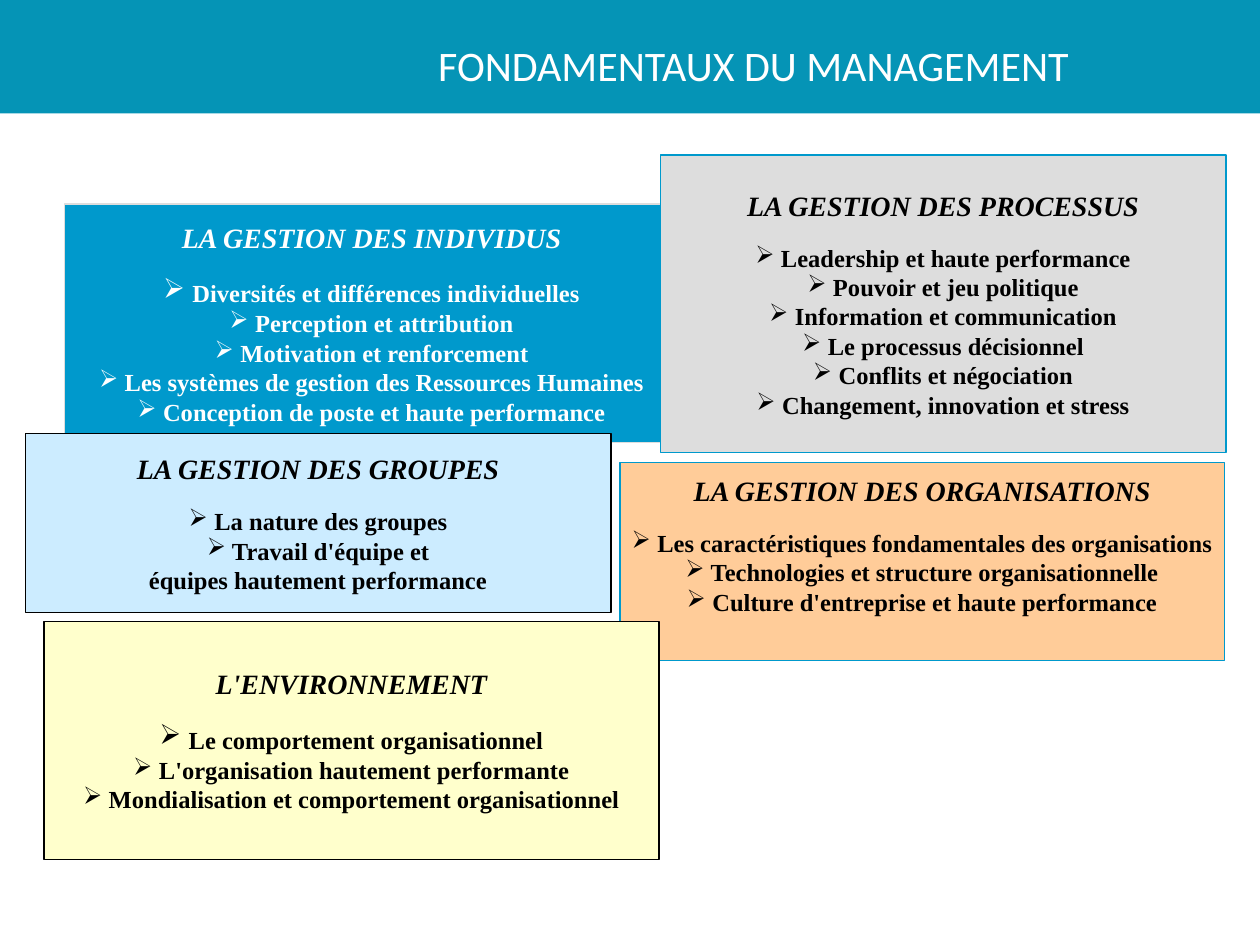
from lxml.etree import SubElement
from pptx import Presentation
from pptx.dml.color import RGBColor
from pptx.enum.shapes import MSO_SHAPE
from pptx.enum.text import MSO_ANCHOR, PP_ALIGN
from pptx.oxml.ns import qn
from pptx.util import Inches, Pt

COLORS = {
    "banner": "0594B6", "blue": "0099CC", "grey": "DDDDDD", "sky": "CCECFF",
    "orange": "FFCC99", "yellow": "FFFFCC", "black": "000000", "white": "FFFFFF",
}
TITLE = "FONDAMENTAUX DU MANAGEMENT"
BULLET = "➢"
HEADING_SIZE, ITEM_SIZE = 16, 14

# large_lead: the first bullet has the size of the heading
# plain_last: the last line continues the one above, without a bullet
PANELS = [
    {"heading": "LA GESTION DES INDIVIDUS", "at": (0.51, 1.62, 4.88, 1.89),
     "fill": "blue", "line": "grey", "text": "white", "large_lead": True,
     "items": ["Diversités et différences individuelles",
               "Perception et attribution",
               "Motivation et renforcement",
               "Les systèmes de gestion des Ressources Humaines",
               "Conception de poste et haute performance"]},
    {"heading": "LA GESTION DES PROCESSUS", "at": (5.24, 1.23, 4.49, 2.36),
     "fill": "grey", "line": "blue", "text": "black",
     "items": ["Leadership et haute performance",
               "Pouvoir et jeu politique",
               "Information et communication",
               "Le processus décisionnel",
               "Conflits et négociation",
               "Changement, innovation et stress"]},
    {"heading": "LA GESTION DES GROUPES", "at": (0.2, 3.44, 4.65, 1.42),
     "fill": "sky", "line": "black", "text": "black", "plain_last": True,
     "items": ["La nature des groupes",
               "Travail d'équipe et",
               "équipes hautement performance"]},
    {"heading": "LA GESTION DES ORGANISATIONS", "at": (4.92, 3.67, 4.8, 1.57),
     "fill": "orange", "line": "blue", "text": "black", "bottom": 0.31,
     "items": ["Les caractéristiques fondamentales des organisations",
               "Technologies et structure organisationnelle",
               "Culture d'entreprise et haute performance"]},
    {"heading": "L'ENVIRONNEMENT", "at": (0.35, 4.93, 4.88, 1.89),
     "fill": "yellow", "line": "black", "text": "black", "large_lead": True,
     "items": ["Le comportement organisationnel",
               "L'organisation hautement performante",
               "Mondialisation et comportement organisationnel"]},
]


def rgb(name):
    return RGBColor.from_string(COLORS[name])


def add_rectangle(page, at, fill, line=None):
    box = page.shapes.add_shape(MSO_SHAPE.RECTANGLE, *map(Inches, at))
    box.shadow.inherit = False
    box.fill.solid()
    box.fill.fore_color.rgb = rgb(fill)
    if line:
        box.line.color.rgb = rgb(line)
        box.line.width = Pt(0.75)
    else:
        box.line.fill.background()
    return box


def add_span(para, text, size, color, font="Times New Roman", bold=True, italic=False):
    span = para.add_run()
    span.text = text
    span.font.name = font
    span.font.size = Pt(size)
    span.font.bold = bold
    span.font.italic = italic
    span.font.color.rgb = rgb(color)


def add_bullet(para):
    properties = para._p.get_or_add_pPr()
    properties.set("marL", "0")
    properties.set("indent", "0")
    SubElement(properties, qn("a:buChar")).set("char", BULLET)


def add_panel(page, panel):
    box = add_rectangle(page, panel["at"], panel["fill"], panel["line"])
    frame = box.text_frame
    frame.word_wrap = False
    frame.vertical_anchor = MSO_ANCHOR.MIDDLE
    frame.margin_bottom = Inches(panel.get("bottom", 0.05))
    color = panel["text"]

    heading = frame.paragraphs[0]
    heading.alignment = PP_ALIGN.CENTER
    heading.space_after = Pt(12)
    add_span(heading, panel["heading"], HEADING_SIZE, color, italic=True)

    last = len(panel["items"]) - 1
    for index, item in enumerate(panel["items"]):
        para = frame.add_paragraph()
        para.alignment = PP_ALIGN.CENTER
        if index == last and panel.get("plain_last"):
            add_span(para, item, ITEM_SIZE, color)
            continue
        add_bullet(para)
        if index == 0 and panel.get("large_lead"):
            add_span(para, " ", HEADING_SIZE, color)
            add_span(para, item, ITEM_SIZE, color)
        else:
            add_span(para, " " + item, ITEM_SIZE, color)


def add_title(page):
    add_rectangle(page, (0, 0, 10, 0.9), "banner")
    box = page.shapes.add_textbox(*map(Inches, (2.95, 0.13, 6.06, 0.76)))
    frame = box.text_frame
    frame.word_wrap = True
    frame.vertical_anchor = MSO_ANCHOR.MIDDLE
    para = frame.paragraphs[0]
    para.alignment = PP_ALIGN.CENTER
    add_span(para, TITLE, 24, "white", font="Calibri", bold=False)


def main():
    deck = Presentation()
    deck.slide_width, deck.slide_height = Inches(10), Inches(7.5)
    page = deck.slides.add_slide(deck.slide_layouts[6])
    add_title(page)
    for panel in PANELS:
        add_panel(page, panel)
    deck.save("out.pptx")


if __name__ == "__main__":
    main()
